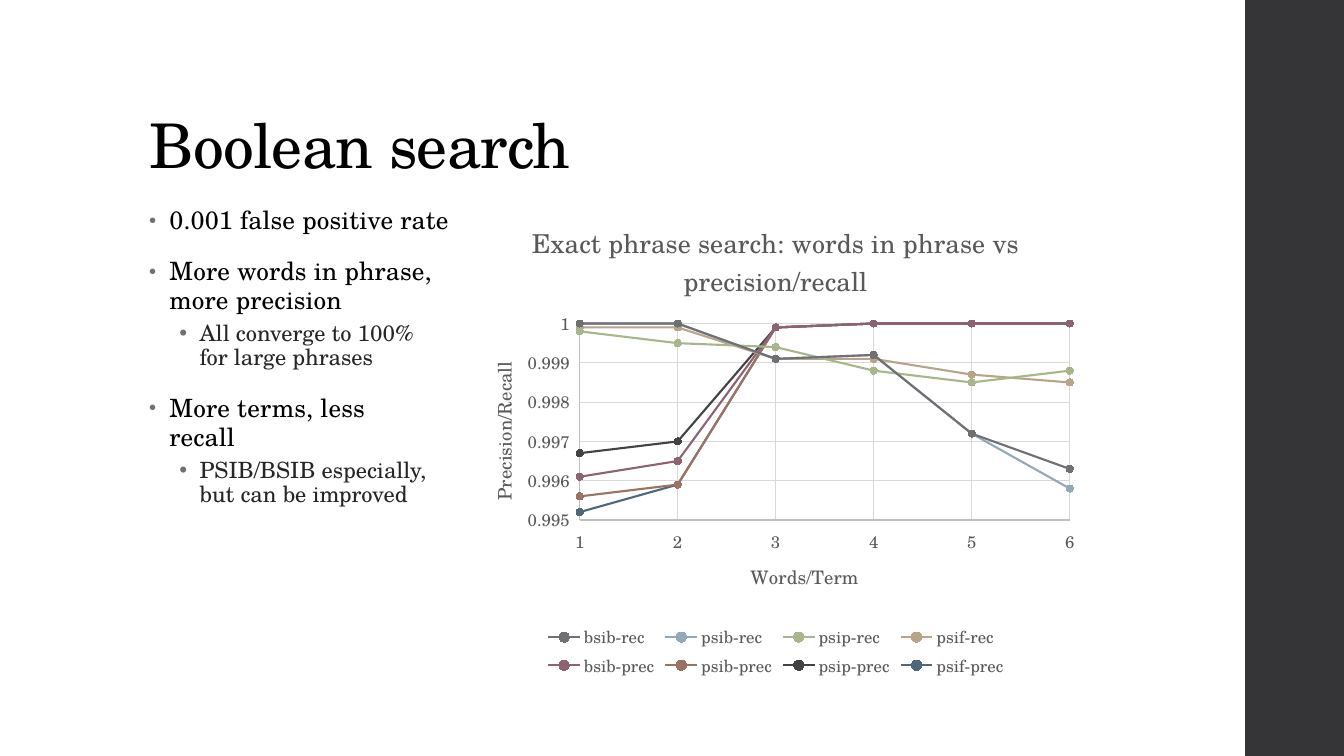
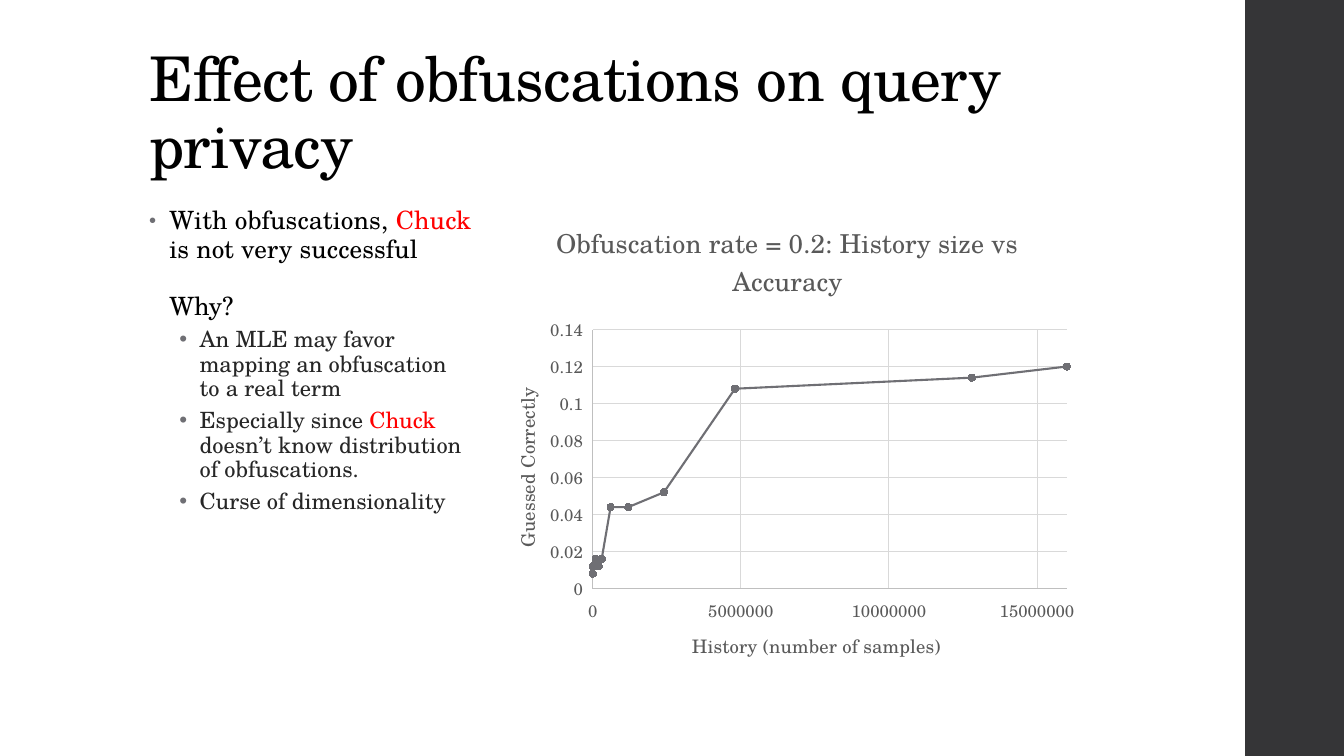
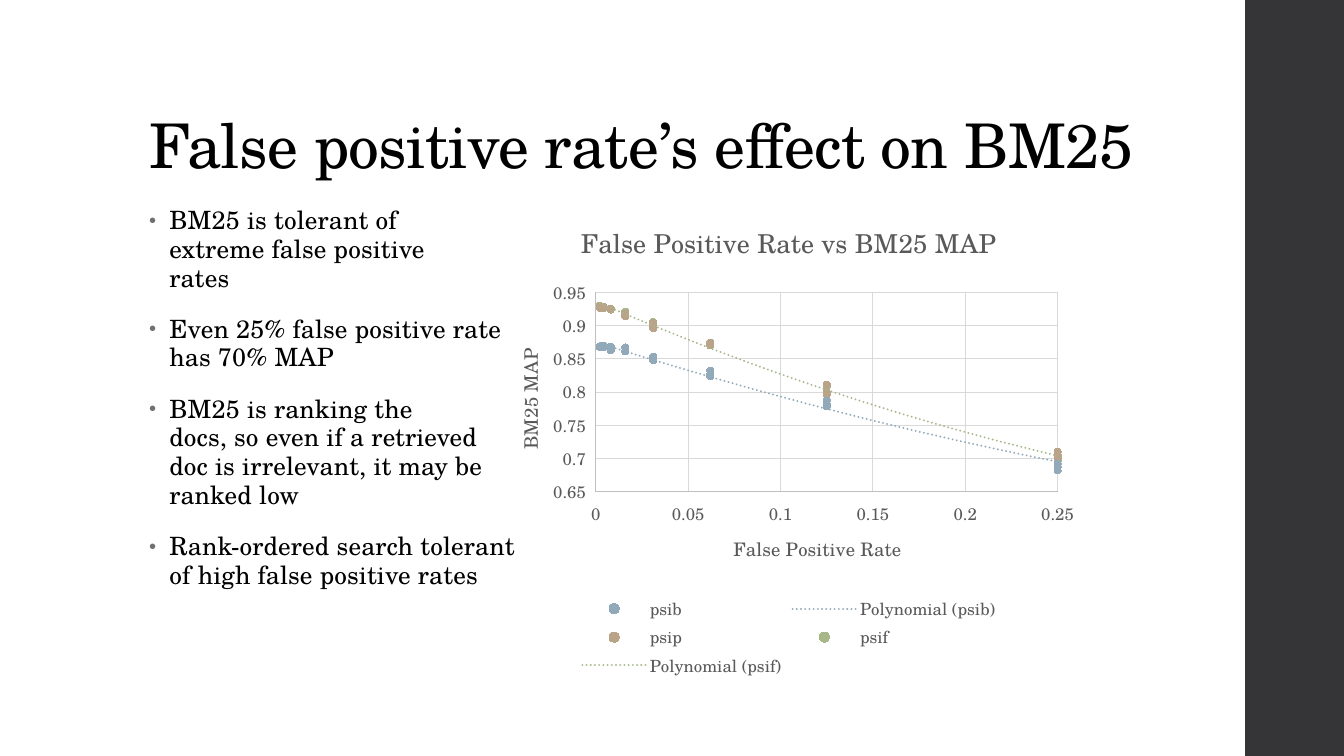
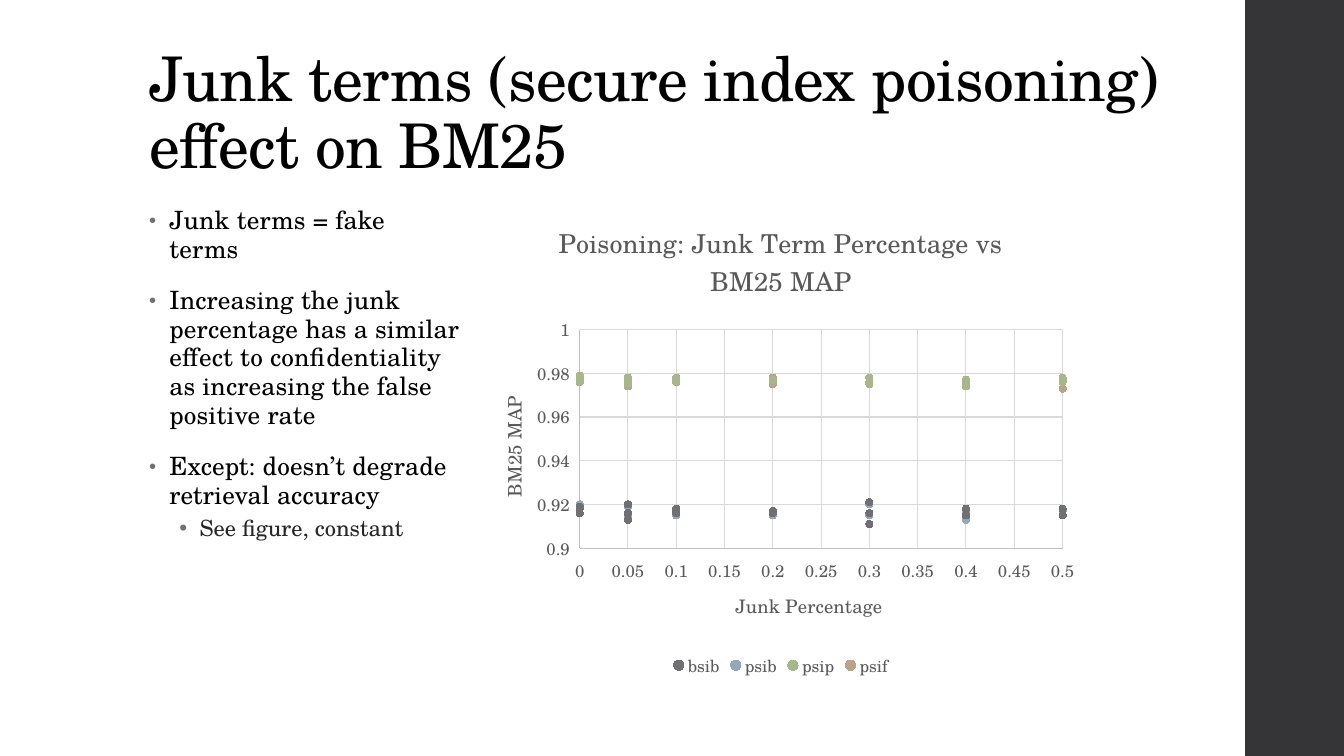
from copy import deepcopy

from pptx import Presentation, util as u
from pptx.chart import data
from pptx.dml import color
from pptx.enum import chart as ch, shapes, text
from pptx.oxml import ns, parse_xml

FACE = "TeX Gyre Schola"
GREY, BLUE, GREEN, TAN = "6F6F74", "92A9B9", "A7B789", "B9A489"
PLUM, RUST, COAL, NAVY = "8D6374", "9B7362", "434346", "4E6779"
INK, SOFT, RED, LABEL = "000000", "262626", "FF0000", "595959"
LEVELS = [
    dict(size=18, ink=INK, track=10, left=0.2, bullet=80,
         fmt=dict(line_spacing=0.95, space_before=u.Pt(14), space_after=u.Pt(2))),
    dict(size=16, ink=SOFT, track=0, left=0.5, bullet=100,
         fmt=dict(line_spacing=0.9, space_before=u.Pt(3), space_after=u.Pt(3))),
]


def rgb(code):
    """Turn a hex string into a colour."""
    return color.RGBColor.from_string(code)


def apply(item, **fmt):
    """Set every given attribute on the item."""
    for key, value in fmt.items():
        setattr(item, key, value)


def spread(pairs):
    """Repeat each value by its count."""
    return [value for value, count in pairs for _ in range(count)]


class Deck:
    """Holds the shared style and the current slide."""

    def __init__(self):
        """Start an empty wide deck."""
        self.file = Presentation()
        apply(self.file, slide_width=u.Inches(13.33), slide_height=u.Inches(7.5))
        self.page = None

    def font(self, font, size, ink):
        """Style a font."""
        apply(font, name=FACE, size=u.Pt(size), bold=False)
        font.color.rgb = rgb(ink)

    def line(self, line, ink, width):
        """Style a line."""
        line.color.rgb = rgb(ink)
        line.width = u.Pt(width)

    def run(self, para, words, size, ink, track):
        """Add one styled run."""
        run = para.add_run()
        run.text = words
        self.font(run.font, size, ink)
        run._r.get_or_add_rPr().set("spc", str(track))

    def frame(self, shape, box, anchor):
        """Move a placeholder and prepare its text frame."""
        left, top, width, height = map(u.Inches, box)
        apply(shape, left=left, top=top, width=width, height=height)
        apply(shape.text_frame, word_wrap=True, vertical_anchor=anchor,
              auto_size=text.MSO_AUTO_SIZE.NONE)
        return shape.text_frame

    def slide(self, title):
        """Add a slide with its side band and title."""
        self.page = self.file.slides.add_slide(self.file.slide_layouts[1])
        band = self.page.shapes.add_shape(
            shapes.MSO_SHAPE.RECTANGLE, u.Inches(12.35), 0, u.Inches(1), u.Inches(7.5))
        band.shadow.inherit = False
        band.fill.solid()
        band.fill.fore_color.rgb = rgb("353537")
        band.line.fill.background()
        frame = self.frame(self.page.shapes.title, (1.38, 0.4, 10.6, 1.45),
                           text.MSO_ANCHOR.BOTTOM)
        para = frame.paragraphs[0]
        apply(para, alignment=text.PP_ALIGN.LEFT, line_spacing=0.9)
        self.run(para, title, 44, INK, -50)

    def body(self, *items):
        """Fill the list; bars in the words enclose red parts."""
        frame = self.frame(self.page.placeholders[1], (1.38, 2, 9.4, 4.76),
                           text.MSO_ANCHOR.TOP)
        for pos, (level, words) in enumerate(items):
            para = frame.add_paragraph() if pos else frame.paragraphs[0]
            self.point(para, level, words)

    def point(self, para, level, words):
        """Write one bullet point."""
        look = LEVELS[level]
        apply(para, level=level, alignment=text.PP_ALIGN.LEFT, **look["fmt"])
        props = para._p.get_or_add_pPr()
        props.set("marL", str(u.Inches(look["left"])))
        props.set("indent", str(u.Inches(-0.2)))
        for mark in (f'<a:buClr {ns.nsdecls("a")}><a:srgbClr val="{GREY}"/></a:buClr>',
                     f'<a:buSzPct {ns.nsdecls("a")} val="{look["bullet"]}000"/>',
                     f'<a:buChar {ns.nsdecls("a")} char="•"/>'):
            props.append(parse_xml(mark))
        for part, chunk in enumerate(words.split("|")):
            for row, line in enumerate(chunk.split("\n")):
                if row:
                    para.add_line_break()
                if line:
                    ink = RED if part % 2 else look["ink"]
                    self.run(para, line, look["size"], ink, look["track"])
        for gap in para._p.findall(ns.qn("a:br")):
            gap.insert(0, deepcopy(para.runs[0]._r.rPr))

    def place(self, item, index, box, area):
        """Fix a chart part at a place given in slide inches."""
        old = item.find(ns.qn("c:layout"))
        if old is not None:
            item.remove(old)
        left, top, width, height = area
        x, y = (box[0] - left) / width, (box[1] - top) / height
        rows = [("xMode", "edge"), ("yMode", "edge"), ("x", x), ("y", y)]
        if len(box) == 4:
            rows.insert(0, ("layoutTarget", "inner"))
            rows += [("w", box[2] / width), ("h", box[3] / height)]
        inner = "".join(f'<c:{key} val="{value}"/>' for key, value in rows)
        item.insert(index, parse_xml(
            f'<c:layout {ns.nsdecls("c")}><c:manualLayout>{inner}</c:manualLayout></c:layout>'))

    def label(self, title, words, size):
        """Write a chart or axis title."""
        title.text_frame.text = words
        self.font(title.text_frame.paragraphs[0].runs[0].font, size, LABEL)

    def axis(self, axis, title, scale):
        """Style an axis and its title."""
        low, high, step = scale
        apply(axis, minimum_scale=low, maximum_scale=high, major_unit=step,
              has_major_gridlines=True, major_tick_mark=ch.XL_TICK_MARK.NONE,
              minor_tick_mark=ch.XL_TICK_MARK.NONE,
              tick_label_position=ch.XL_TICK_LABEL_POSITION.LOW)
        apply(axis.tick_labels, number_format="General", number_format_is_linked=False)
        self.font(axis.tick_labels.font, 12, LABEL)
        self.line(axis.format.line, "BFBFBF", 0.75)
        self.line(axis.major_gridlines.format.line, "D9D9D9", 0.75)
        self.label(axis.axis_title, title, 13.3)

    def trend(self, serie, ink):
        """Add a dotted second-order trend line."""
        serie._element.find(ns.qn("c:xVal")).addprevious(parse_xml(
            f'<c:trendline {ns.nsdecls("c", "a")}><c:spPr><a:ln w="19050" cap="rnd">'
            f'<a:solidFill><a:srgbClr val="{ink}"/></a:solidFill>'
            '<a:prstDash val="sysDot"/></a:ln></c:spPr>'
            '<c:trendlineType val="poly"/><c:order val="2"/>'
            '<c:dispRSqr val="0"/><c:dispEq val="0"/></c:trendline>'))

    def chart(self, title, left, plot, across, upward, xs, series,
              lines=False, legend=True, trends=()):
        """Add a scatter chart; each axis is given as title, scale and offset."""
        area = (left, 2, 10.78 - left, 4.76)
        sheet = data.XyChartData()
        for name, ink, values in series:
            serie = sheet.add_series(name)
            for x, y in zip(xs, values):
                serie.add_data_point(x, y)
        kind = ch.XL_CHART_TYPE.XY_SCATTER_LINES if lines else ch.XL_CHART_TYPE.XY_SCATTER
        chart = self.page.shapes.add_chart(kind, *map(u.Inches, area), sheet).chart
        self.font(chart.font, 10, INK)
        apply(chart, has_title=True, has_legend=legend)
        chart.plots[0].vary_by_categories = False
        self.label(chart.chart_title, title, 18.6)
        if legend:
            apply(chart.legend, position=ch.XL_LEGEND_POSITION.BOTTOM,
                  include_in_layout=False)
            self.font(chart.legend.font, 12, LABEL)
        self.axis(chart.category_axis, *across[:2])
        self.axis(chart.value_axis, *upward[:2])
        side = chart.value_axis.axis_title._element
        turn = side.find(".//" + ns.qn("a:bodyPr"))
        turn.set("rot", "-5400000")
        turn.set("vert", "horz")
        base = chart.category_axis.axis_title._element
        self.place(base, 1, (across[2], plot[1] + plot[3] + 0.38), area)
        self.place(side, 1, (left + 0.2, upward[2]), area)
        self.place(chart._chartSpace.find(".//" + ns.qn("c:plotArea")), 0, plot, area)
        for serie, (name, ink, values) in zip(chart.plots[0].series, series):
            apply(serie.marker, style=ch.XL_MARKER_STYLE.CIRCLE, size=5)
            serie.marker.format.fill.solid()
            serie.marker.format.fill.fore_color.rgb = rgb(ink)
            self.line(serie.marker.format.line, ink, 0.75)
            if lines:
                self.line(serie.format.line, ink, 1.5)
            else:
                serie.format.line.fill.background()
            if name in trends:
                self.trend(serie, ink)


def phrase(deck):
    """Build the phrase search slide."""
    deck.slide("Boolean search")
    deck.body((0, "0.001 false positive rate"),
              (0, "More words in phrase,\nmore precision"),
              (1, "All converge to 100%\nfor large phrases"),
              (0, "More terms, less\nrecall"),
              (1, "PSIB/BSIB especially,\nbut can be improved"))
    deck.chart(
        "Exact phrase search: words in phrase vs precision/recall",
        4.61, (5.75, 3.21, 4.86, 1.95),
        ("Words/Term", (1, 6, 1), 7.41),
        ("Precision/Recall", (0.995, 1, 0.001), 3.55),
        range(1, 7),
        [("bsib-rec", GREY, [1, 1, 0.9991, 0.9992, 0.9972, 0.9963]),
         ("psib-rec", BLUE, [1, 1, 0.9991, 0.9992, 0.9972, 0.9958]),
         ("psip-rec", GREEN, [0.9998, 0.9995, 0.9994, 0.9988, 0.9985, 0.9988]),
         ("psif-rec", TAN, [0.9999, 0.9999, 0.9991, 0.9991, 0.9987, 0.9985]),
         ("bsib-prec", PLUM, [0.9961, 0.9965, 0.9999, 1, 1, 1]),
         ("psib-prec", RUST, [0.9956, 0.9959, 0.9999, 1, 1, 1]),
         ("psip-prec", COAL, [0.9967, 0.997, 0.9999, 1, 1, 1]),
         ("psif-prec", NAVY, [0.9952, 0.9959, 0.9999, 1, 1, 1])],
        lines=True)


def privacy(deck):
    """Build the query privacy slide."""
    deck.slide("Effect of obfuscations on query privacy")
    deck.body((0, "With obfuscations, |Chuck|\nis not very successful\n\nWhy?"),
              (1, "An MLE may favor\nmapping an obfuscation\nto a real term"),
              (1, "Especially since |Chuck|\ndoesn’t know distribution\nof obfuscations."),
              (1, "Curse of dimensionality"))
    deck.chart(
        "Obfuscation rate = 0.2: History size vs Accuracy",
        4.84, (5.88, 3.27, 4.7, 2.57),
        ("History (number of samples)", (0, 16000000, 5000000), 6.83),
        ("Guessed Correctly", (0, 0.14, 0.02), 3.81),
        [0] * 10 + [100000, 200000, 300000, 600000, 1200000, 2400000,
                    4800000, 12800000, 16000000],
        [("Series 1", GREY,
          [0.008, 0.008, 0.008, 0.008, 0.012, 0.012, 0.008, 0.008, 0.012, 0.012,
           0.016, 0.012, 0.016, 0.044, 0.044, 0.052, 0.108, 0.114, 0.12])],
        lines=True, legend=False)


def errors(deck):
    """Build the false positive slide."""
    deck.slide("False positive rate’s effect on BM25")
    deck.body((0, "BM25 is tolerant of\nextreme false positive\nrates"),
              (0, "Even 25% false positive rate\nhas 70% MAP"),
              (0, "BM25 is ranking the\ndocs, so even if a retrieved\n"
                  "doc is irrelevant, it may be\nranked low"),
              (0, "Rank-ordered search tolerant\nof high false positive rates"))
    deck.chart(
        "False Positive Rate vs BM25 MAP",
        4.87, (5.91, 2.9, 4.58, 1.98),
        ("False Positive Rate", (0, 0.25, 0.05), 7.24),
        ("BM25 MAP", (0.65, 0.95, 0.05), 3.42),
        spread([(0.5, 19), (0.25, 3), (0.125, 3), (0.062, 3), (0.031, 3),
                (0.016, 3), (0.008, 3), (0.004, 3), (0.002, 2)]),
        [("psib", BLUE,
          [0.602, 0.594, 0.595, 0.598, 0.603, 0.598, 0.601, 0.596, 0.599, 0.597,
           0.601, 0.606, 0.604, 0.6, 0.59, 0.599, 0.6, 0.604, 0.599,
           0.687, 0.682, 0.692, 0.782, 0.779, 0.787, 0.824, 0.832, 0.826,
           0.851, 0.848, 0.853, 0.867, 0.861, 0.861, 0.863, 0.865, 0.868,
           0.87, 0.867, 0.869, 0.868, 0.868]),
         ("psip", TAN,
          [0.602, 0.606, 0.607, 0.604, 0.607, 0.613, 0.603, 0.605, 0.602, 0.609,
           0.603, 0.612, 0.61, 0.604, 0.601, 0.609, 0.608, 0.609, 0.608,
           0.7, 0.705, 0.71, 0.811, 0.8, 0.796, 0.871, 0.873, 0.874,
           0.901, 0.896, 0.904, 0.918, 0.914, 0.917, 0.925, 0.925, 0.925,
           0.928, 0.928, 0.927, 0.927, 0.929]),
         ("psif", GREEN,
          [0.608, 0.603, 0.61, 0.606, 0.61, 0.61, 0.611, 0.608, 0.605, 0.61,
           0.6, 0.609, 0.615, 0.605, 0.602, 0.609, 0.608, 0.605, 0.612,
           0.702, 0.702, 0.697, 0.808, 0.81, 0.796, 0.87, 0.871, 0.871,
           0.904, 0.903, 0.905, 0.921, 0.916, 0.919, 0.924, 0.925, 0.925,
           0.928, 0.927, 0.926, 0.93, 0.93])],
        trends=("psib", "psif"))


def junk(deck):
    """Build the index poisoning slide."""
    deck.slide("Junk terms (secure index poisoning) effect on BM25")
    deck.body((0, "Junk terms = fake\nterms"),
              (0, "Increasing the junk\npercentage has a similar\n"
                  "effect to confidentiality\nas increasing the false\npositive rate"),
              (0, "Except: doesn’t degrade\nretrieval accuracy"),
              (1, "See figure, constant"))
    deck.chart(
        "Poisoning: Junk Term Percentage vs BM25 MAP",
        4.71, (5.75, 3.27, 4.79, 2.17),
        ("Junk Percentage", (0, 0.5, 0.05), 7.26),
        ("BM25 MAP", (0.9, 1, 0.02), 3.89),
        spread((x, 3) for x in (0, 0.1, 0.2, 0.3, 0.4, 0.5, 0.05)),
        [("bsib", GREY,
          [0.919, 0.916, 0.918, 0.916, 0.917, 0.918, 0.917, 0.917, 0.916, 0.911, 0.916,
           0.921, 0.918, 0.915, 0.915, 0.915, 0.918, 0.918, 0.916, 0.913, 0.92]),
         ("psib", BLUE,
          [0.92, 0.916, 0.918, 0.915, 0.915, 0.918, 0.916, 0.915, 0.916, 0.911, 0.915,
           0.92, 0.916, 0.913, 0.913, 0.915, 0.915, 0.917, 0.914, 0.913, 0.919]),
         ("psip", GREEN,
          [0.979, 0.976, 0.978, 0.976, 0.978, 0.976, 0.977, 0.977, 0.977, 0.975, 0.976,
           0.978, 0.977, 0.974, 0.976, 0.976, 0.977, 0.978, 0.977, 0.975, 0.978]),
         ("psif", TAN,
          [0.977, 0.976, 0.978, 0.977, 0.977, 0.978, 0.977, 0.978, 0.975, 0.975, 0.978,
           0.976, 0.975, 0.975, 0.974, 0.973, 0.976, 0.976, 0.977, 0.974, 0.977])])


def main():
    """Build and save the deck."""
    deck = Deck()
    for build in (phrase, privacy, errors, junk):
        build(deck)
    deck.file.save("out.pptx")


if __name__ == "__main__":
    main()
